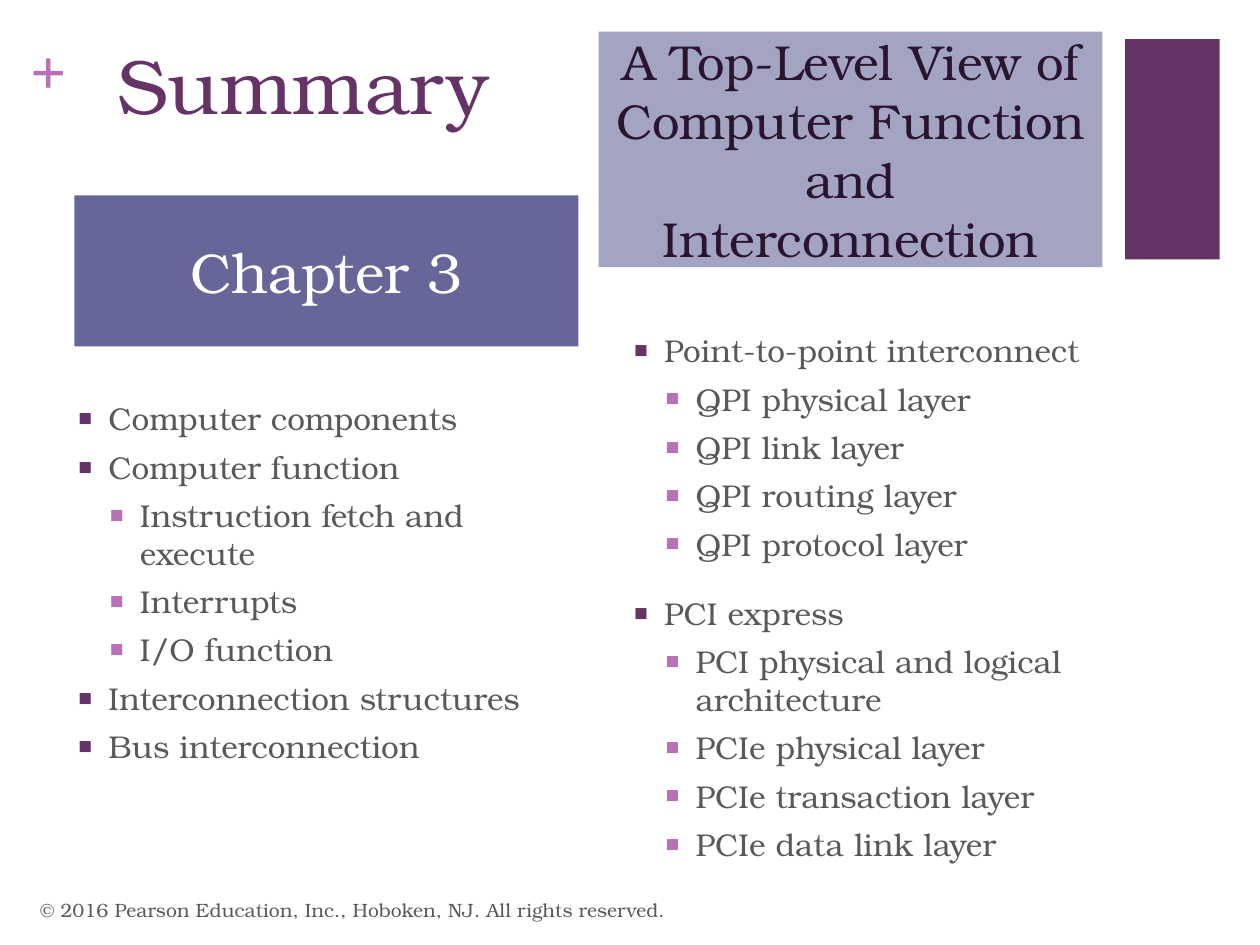
from lxml import etree
from pptx import Presentation
from pptx.dml.color import RGBColor
from pptx.enum.shapes import MSO_SHAPE
from pptx.enum.text import MSO_ANCHOR, MSO_AUTO_SIZE, PP_ALIGN
from pptx.oxml.ns import qn
from pptx.util import Inches, Pt

TOP, MIDDLE = MSO_ANCHOR.TOP, MSO_ANCHOR.MIDDLE
LEFT, CENTER = PP_ALIGN.LEFT, PP_ALIGN.CENTER
FONT = "TeX Gyre Bonum"
COMPARISON_LAYOUT = 4  # title, two headings and two lists
INDENT = 0.25

COLORS = {
    "plum": "663366", "orchid": "B870B8", "slate": "666699",
    "lavender": "A3A3C2", "ink": "2B142D", "gray": "595959", "white": "FFFFFF",
}

# Headings: placeholder index, text, box, size, text colour, fill
HEADINGS = [
    (1, "Chapter 3", (0.59, 1.55, 4, 1.2), 32, "white", "slate"),
    (3, "A Top-Level View of Computer Function and Interconnection",
     (4.75, 0.25, 4, 1.87), 28, "ink", "lavender"),
]

# Lists: placeholder index, box, space before a topic, topics with subtopics
LISTS = [
    (2, (0.51, 3.12, 4, 4.75), 6, [
        ("Computer components", []),
        ("Computer function",
         ["Instruction fetch and execute", "Interrupts", "I/O function"]),
        ("Interconnection structures", []),
        ("Bus interconnection", []),
    ]),
    (4, (4.92, 2.58, 4.17, 5.17), 18, [
        ("Point-to-point interconnect",
         ["QPI physical layer", "QPI link layer", "QPI routing layer",
          "QPI protocol layer"]),
        ("PCI express",
         ["PCI physical and logical architecture", "PCIe physical layer",
          "PCIe transaction layer", "PCIe data link layer"]),
    ]),
]
FOOTER = "© 2016 Pearson Education, Inc., Hoboken, NJ. All rights reserved."


def color(name):
    return RGBColor.from_string(COLORS[name])


def place(shape, box):
    shape.left, shape.top, shape.width, shape.height = map(Inches, box)


def fill(shape, name):
    shape.fill.solid()
    shape.fill.fore_color.rgb = color(name)
    shape.line.fill.background()


def prepare_frame(shape, anchor, side=0.1, end=0.05):
    frame = shape.text_frame
    frame.word_wrap = True
    frame.auto_size = MSO_AUTO_SIZE.NONE
    frame.vertical_anchor = anchor
    frame.margin_left = frame.margin_right = Inches(side)
    frame.margin_top = frame.margin_bottom = Inches(end)
    return frame


def write(paragraph, text, size, color_name, align=LEFT, font=FONT, bold=False):
    paragraph.text = text
    paragraph.alignment = align
    paragraph.font.name = font
    paragraph.font.size = Pt(size)
    paragraph.font.bold = bold
    paragraph.font.color.rgb = color(color_name)


def add_bullet(paragraph, level, color_name):
    paragraph.level = level
    properties = paragraph._p.get_or_add_pPr()
    properties.set("marL", str(Inches(INDENT * (level + 1))))
    properties.set("indent", str(-Inches(INDENT)))
    bullet_color = etree.SubElement(properties, qn("a:buClr"))
    etree.SubElement(bullet_color, qn("a:srgbClr"), val=COLORS[color_name])
    etree.SubElement(properties, qn("a:buSzPct"), val="75000")
    etree.SubElement(properties, qn("a:buFont"), typeface=FONT)
    etree.SubElement(properties, qn("a:buChar"), char="■")


def fill_list(frame, topics, topic_space):
    rows = []
    for topic, subtopics in topics:
        rows.append((topic, 0, topic_space, "plum"))
        rows += [(subtopic, 1, 6, "orchid") for subtopic in subtopics]
    for index, (text, level, space, bullet) in enumerate(rows):
        paragraph = frame.add_paragraph() if index else frame.paragraphs[0]
        add_bullet(paragraph, level, bullet)
        paragraph.space_before = Pt(space if index else 0)
        write(paragraph, text, 18, "gray")


def main():
    presentation = Presentation()
    presentation.slide_width, presentation.slide_height = Inches(10), Inches(7.5)
    slide = presentation.slides.add_slide(
        presentation.slide_layouts[COMPARISON_LAYOUT])
    shapes, placeholders = slide.shapes, slide.placeholders

    side_block = shapes.add_shape(
        MSO_SHAPE.RECTANGLE, *map(Inches, (8.93, 0.31, 0.75, 1.75)))
    side_block.shadow.inherit = False
    fill(side_block, "plum")

    plus = shapes.add_textbox(*map(Inches, (0.24, 0.25, 0.29, 0.61)))
    write(prepare_frame(plus, TOP, 0, 0).paragraphs[0], "+", 36, "orchid",
          font="Times New Roman", bold=True)

    place(shapes.title, (0.83, 0.25, 3.75, 1.22))
    write(prepare_frame(shapes.title, TOP).paragraphs[0], "Summary", 44, "plum")

    for index, box, topic_space, topics in LISTS:
        place(placeholders[index], box)
        fill_list(prepare_frame(placeholders[index], TOP), topics, topic_space)

    for index, text, box, size, text_color, fill_color in HEADINGS:
        heading = placeholders[index]
        place(heading, box)
        fill(heading, fill_color)
        paragraph = prepare_frame(heading, MIDDLE, end=0).paragraphs[0]
        paragraph.space_before = Pt(0)
        write(paragraph, text, size, text_color, CENTER)

    footer = shapes.add_textbox(*map(Inches, (0.22, 7.02, 6.7, 0.4)))
    write(prepare_frame(footer, MIDDLE).paragraphs[0], FOOTER, 11, "gray")

    presentation.save("out.pptx")


if __name__ == "__main__":
    main()
